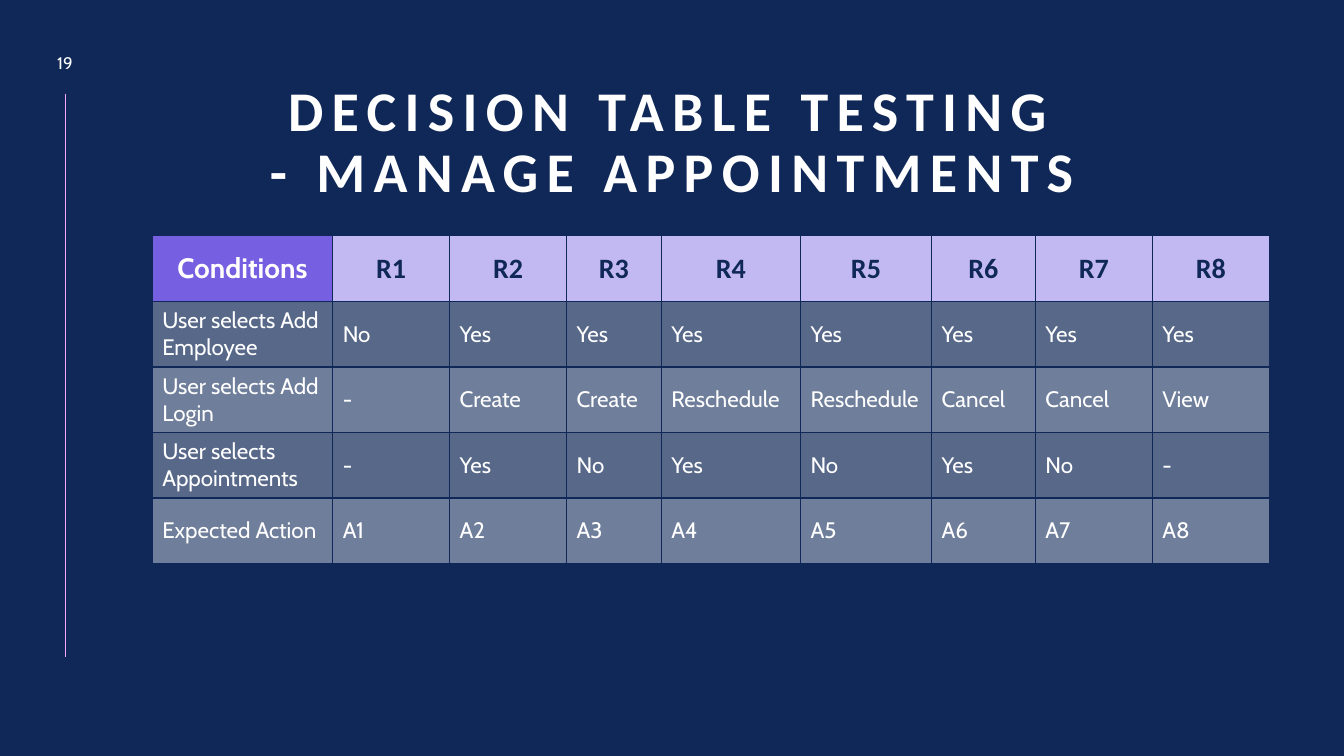
from lxml import etree
from pptx import Presentation
from pptx.dml.color import RGBColor
from pptx.enum.shapes import MSO_CONNECTOR
from pptx.enum.text import MSO_ANCHOR, MSO_AUTO_SIZE, PP_ALIGN
from pptx.oxml.ns import qn
from pptx.util import Inches, Pt

CENTER, LEFT = PP_ALIGN.CENTER, PP_ALIGN.LEFT
MIDDLE, BOTTOM = MSO_ANCHOR.MIDDLE, MSO_ANCHOR.BOTTOM
STRAIGHT = MSO_CONNECTOR.STRAIGHT
NO_AUTOFIT = MSO_AUTO_SIZE.NONE

COLORS = {
    "navy": "102857",
    "white": "FFFFFF",
    "purple": "765FE1",
    "lavender": "C3B9F2",
    "pink": "F6A6F4",
}
COLUMN_WIDTHS = [1.79, 1.16, 1.16, 0.94, 1.38, 1.3, 1.03, 1.16, 1.16]
ROW_HEIGHT = 0.65
ROWS = [
    ["Conditions"] + [f"R{rule}" for rule in range(1, 9)],
    ["User selects Add Employee", "No"] + ["Yes"] * 7,
    ["User selects Add Login", "-", "Create", "Create", "Reschedule",
     "Reschedule", "Cancel", "Cancel", "View"],
    ["User selects Appointments", "-"] + ["Yes", "No"] * 3 + ["-"],
    ["Expected Action"] + [f"A{action}" for action in range(1, 9)],
]


def format_paragraph(paragraph, size, font_name, color, bold=False, align=CENTER):
    paragraph.alignment = align
    paragraph.font.size = Pt(size)
    paragraph.font.name = font_name
    paragraph.font.bold = bold
    paragraph.font.color.rgb = RGBColor.from_string(COLORS[color])


def add_borders(cell, color):
    properties = cell._tc.get_or_add_tcPr()
    for index, side in enumerate(["lnL", "lnR", "lnT", "lnB"]):
        line = etree.Element(qn(f"a:{side}"), w=str(Pt(1)))
        fill = etree.SubElement(line, qn("a:solidFill"))
        etree.SubElement(fill, qn("a:srgbClr"), val=COLORS[color])
        properties.insert(index, line)


presentation = Presentation()
presentation.slide_width = Inches(13.33)
presentation.slide_height = Inches(7.5)
slide = presentation.slides.add_slide(presentation.slide_layouts[5])
slide.background.fill.solid()
slide.background.fill.fore_color.rgb = RGBColor.from_string(COLORS["navy"])

# Vertical rule on the left
rule_line = slide.shapes.add_connector(
    STRAIGHT, Inches(0.65), Inches(0.93), Inches(0.65), Inches(6.52))
rule_line.line.color.rgb = RGBColor.from_string(COLORS["pink"])
rule_line.line.width = Pt(0.5)
etree.SubElement(rule_line._element.spPr, qn("a:effectLst"))

# Title
title = slide.shapes.title
title.left, title.top = Inches(1.2), Inches(0.91)
title.width, title.height = Inches(10.93), Inches(1.17)
title.text_frame.text = "DECISION TABLE TESTING\v- MANAGE APPOINTMENTS"
title.text_frame.word_wrap = True
title.text_frame.auto_size = NO_AUTOFIT
title.text_frame.vertical_anchor = BOTTOM
paragraph = title.text_frame.paragraphs[0]
paragraph.line_spacing = 0.9
format_paragraph(paragraph, 40, "Calibri", "white", bold=True)
for run in paragraph.runs:
    run.font._element.set("spc", "600")

# Slide number
number_box = slide.shapes.add_textbox(
    Inches(0.36), Inches(0.45), Inches(0.57), Inches(0.34))
number_box.text_frame.text = "19"
number_box.text_frame.word_wrap = True
number_box.text_frame.vertical_anchor = MIDDLE
format_paragraph(number_box.text_frame.paragraphs[0], 12, "Cabin", "white")

# Decision table
table = slide.shapes.add_table(
    len(ROWS), len(COLUMN_WIDTHS), Inches(1.51), Inches(2.34),
    Inches(sum(COLUMN_WIDTHS)), Inches(ROW_HEIGHT * len(ROWS))).table
for column, width in zip(table.columns, COLUMN_WIDTHS):
    column.width = Inches(width)

for row_index, row in enumerate(ROWS):
    for column_index, text in enumerate(row):
        cell = table.cell(row_index, column_index)
        cell.text = text
        cell.vertical_anchor = MIDDLE
        paragraph = cell.text_frame.paragraphs[0]
        if row_index > 0:
            fill_color = "white"
            format_paragraph(paragraph, 16, "Cabin", "white", align=LEFT)
        elif column_index == 0:
            fill_color = "purple"
            format_paragraph(paragraph, 20, "Cabin", "white", bold=True)
        else:
            fill_color = "lavender"
            format_paragraph(paragraph, 20, "Calibri", "navy", bold=True)
        cell.fill.solid()
        cell.fill.fore_color.rgb = RGBColor.from_string(COLORS[fill_color])
        if row_index > 0:
            # Body rows alternate between 30% and 40% white
            opacity = "30000" if row_index % 2 else "40000"
            color_element = cell._tc.tcPr.find(".//" + qn("a:srgbClr"))
            etree.SubElement(color_element, qn("a:alpha"), val=opacity)
        add_borders(cell, "navy")

presentation.save("out.pptx")
